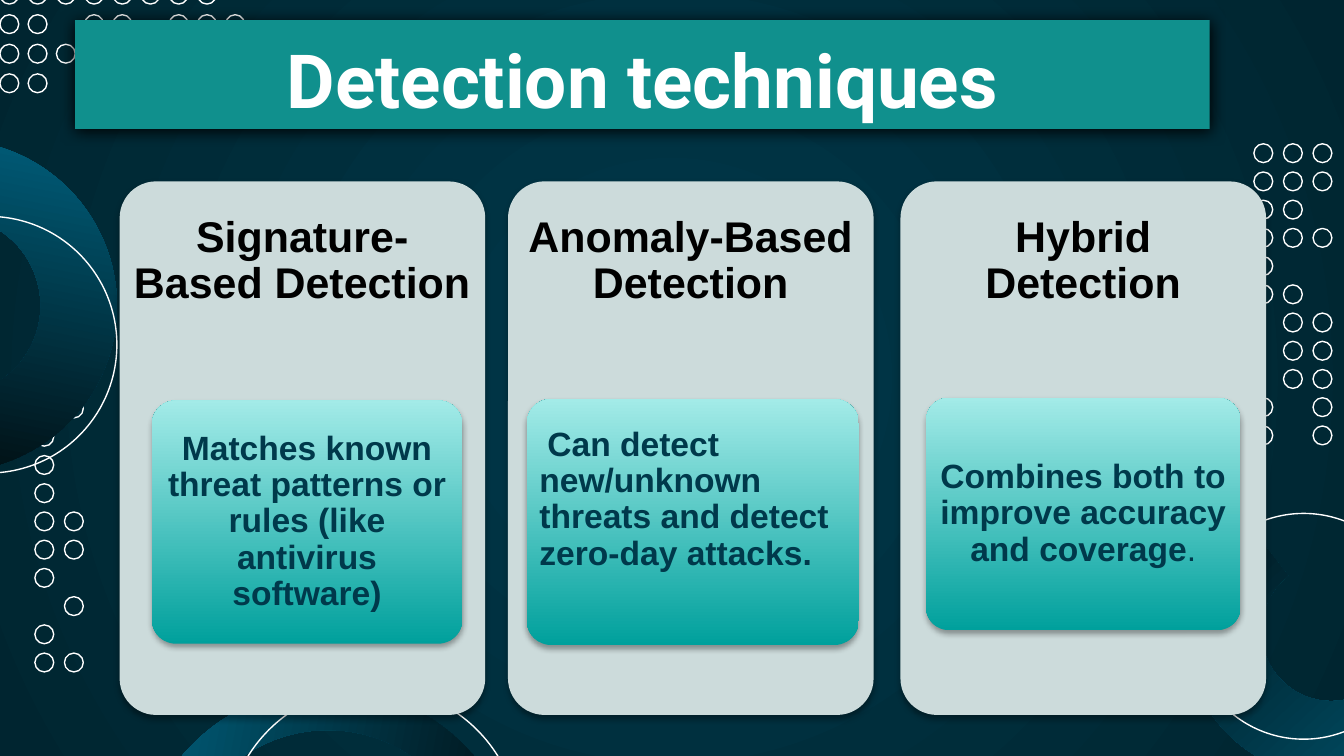
from pptx import Presentation
from pptx.dml.color import RGBColor
from pptx.enum.shapes import MSO_SHAPE as SHAPE
from pptx.enum.text import MSO_ANCHOR as ANCHOR, MSO_AUTO_SIZE, PP_ALIGN as ALIGN
from pptx.oxml.ns import qn
from pptx.util import Inches, Pt
from lxml.etree import SubElement

THEME = dict(
    bg=("00394B", "002530"), arc=("006685", "010101"), body_box=("00A09C", "A3EBE8"),
    banner="10908D", card="CCDBDB", white="FFFFFF", heading="000000", body="00394B",
    title_size=40, heading_size=23, body_size=18, title_font="Roboto", font="Arial",
)

SLIDE_W = 10
SLIDE_H = SLIDE_W * 9 / 16
TITLE = "Detection techniques"
# heading, card left, body box (left, top, width, height), body runs (text, bold)
CARDS = [
    ("Signature-Based Detection", 0.89, (1.13, 2.98, 2.31, 1.81),
     [("Matches known threat patterns or rules (like antivirus software)", True)]),
    ("Anomaly-Based Detection", 3.78, (3.92, 2.97, 2.47, 1.83),
     [("Can detect new/unknown threats and detect zero-day attacks.", True)]),
    ("Hybrid Detection", 6.7, (6.89, 2.96, 2.34, 1.73),
     [("Combines both to improve accuracy and coverage", True), (".", False)]),
]
LEFT_ALIGNED = "Anomaly-Based Detection"
CARD_TOP, CARD_W, CARD_H, HEADING_H = 1.35, 2.72, 3.97, 1.19

# left, top, column pitch, row pitch, rows
DOT_GRIDS = {
    "left": (0.26, 2.97, 0.22, 0.21,
             [".o", "o.", "o.", "o.", "oo", "oo", "o.", ".o", "o.", "oo"]),
    "right": (9.33, 1.07, 0.22, 0.21,
              ["ooo", "ooo", "oo.", "ooo", "o..", "oo.", ".oo", ".oo", ".oo", "o.o", "o.o"]),
    "top": (0, -0.11, 0.21, 0.22, ["oooooooo.", "oo.oo.ooo", "ooo", "oo"]),
}
DOT = 0.14
# arc (left, top, size), rotation, adjustments, ring (left, top, size)
SWIRLS = [
    ((8.82, 3.61, 2.17), 137.1, (51, 168.91, 0.26), (8.86, 3.82, 1.68)),
    ((-1.6, 1.04, 2.47), 10.9, (51, 171.05, 0.23), (-1.04, 1.61, 1.91)),
    ((1.02, 5.12, 2.84), 280.9, (51, 167.47, 0.11), (1.68, 5.11, 2.19)),
]


def rgb(name):
    return RGBColor.from_string(THEME[name])


def fill_gradient(fill, name, angle):
    """Two-stop gradient; the angle runs counter-clockwise."""
    fill.gradient()
    fill.gradient_angle = angle
    for stop, color in zip(fill.gradient_stops, THEME[name]):
        stop.color.rgb = RGBColor.from_string(color)


def add_shape(slide, kind, x, y, w, h):
    sp = slide.shapes.add_shape(kind, Inches(x), Inches(y), Inches(w), Inches(h))
    sp.shadow.inherit = False
    sp.line.fill.background()
    return sp


def add_circle(slide, x, y, size):
    sp = add_shape(slide, SHAPE.OVAL, x, y, size, size)
    sp.fill.background()
    sp.line.color.rgb = rgb("white")
    sp.line.width = Pt(0.75)


def drop_shadow(sp, alpha, blur, dist):
    sp.shadow.inherit = False
    effects = sp._element.spPr.find(qn("a:effectLst"))
    shadow = SubElement(effects, qn("a:outerShdw"), blurRad=str(Pt(blur)),
                        dist=str(Pt(dist)), dir="5400000", rotWithShape="0")
    color = SubElement(shadow, qn("a:srgbClr"), val="000000")
    SubElement(color, qn("a:alpha"), val=str(alpha * 1000))


def write(tf, runs, font, size, color, anchor, inset_x, inset_y, align=ALIGN.CENTER):
    tf.word_wrap = True
    tf.auto_size = MSO_AUTO_SIZE.NONE
    tf.vertical_anchor = anchor
    tf.margin_left = tf.margin_right = Inches(inset_x)
    tf.margin_top = tf.margin_bottom = Inches(inset_y)
    p = tf.paragraphs[0]
    p.alignment = align
    p.font.name, p.font.size, p.font.color.rgb = font, Pt(size), rgb(color)
    for text, bold in runs:
        r = p.add_run()
        r.text = text
        r.font.bold = bold
    return p


def add_background(slide):
    fill_gradient(slide.background.fill, "bg", 0)
    lin = slide._element.find(".//" + qn("a:lin"))
    grad = lin.getparent()
    grad.remove(lin)
    center = SubElement(grad, qn("a:path"), path="circle")
    SubElement(center, qn("a:fillToRect"), l="50000", t="50000", r="50000", b="50000")


def add_dots(slide, name):
    left, top, dx, dy, rows = DOT_GRIDS[name]
    for i, row in enumerate(rows):
        for j, mark in enumerate(row):
            if mark == "o":
                add_circle(slide, left + j * dx, top + i * dy, DOT)


def add_swirl(slide, arc, rotation, adjustments, ring):
    x, y, size = arc
    sp = add_shape(slide, SHAPE.BLOCK_ARC, x, y, size, size)
    for i, value in enumerate(adjustments):
        sp.adjustments[i] = value
    sp.rotation = rotation
    sp._element.spPr.find(qn("a:xfrm")).set("flipH", "1")
    fill_gradient(sp.fill, "arc", 270)
    add_circle(slide, *ring)


def add_title(slide):
    sp = slide.shapes.title
    sp.left, sp.top, sp.width, sp.height = map(Inches, (0.56, 0.15, 8.44, 0.81))
    sp.fill.solid()
    sp.fill.fore_color.rgb = rgb("banner")
    drop_shadow(sp, 100, 8.5, 1)
    write(sp.text_frame, [(TITLE, True)], THEME["title_font"], THEME["title_size"],
          "white", ANCHOR.TOP, 0.1, 0.1)


def add_card(slide, heading, left, box, runs):
    card = add_shape(slide, SHAPE.ROUNDED_RECTANGLE, left, CARD_TOP, CARD_W, CARD_H)
    card.fill.solid()
    card.fill.fore_color.rgb = rgb("card")
    label = slide.shapes.add_textbox(Inches(left), Inches(CARD_TOP),
                                     Inches(CARD_W), Inches(HEADING_H))
    p = write(label.text_frame, [(heading, True)], THEME["font"], THEME["heading_size"],
              "heading", ANCHOR.MIDDLE, 0.1, 0.1)
    p.line_spacing = 0.9

    body = add_shape(slide, SHAPE.ROUNDED_RECTANGLE, *box)
    fill_gradient(body.fill, "body_box", 90)
    for sp in (card, body):
        sp.adjustments[0] = 0.1
        drop_shadow(sp, 35, 3.1, 1.8)
    tf = body.text_frame
    left_aligned = heading == LEFT_ALIGNED
    p = write(tf, runs, THEME["font"], THEME["body_size"], "body", ANCHOR.MIDDLE,
              0.05, 0.04, ALIGN.LEFT if left_aligned else ALIGN.CENTER)
    p.line_spacing = 0.9
    if left_aligned:
        tf.margin_left = Inches(0.04)
        tf.margin_bottom = Inches(0.37)
        p._p.get_or_add_pPr().set("indent", str(Inches(0.06)))


def main():
    prs = Presentation()
    prs.slide_width, prs.slide_height = Inches(SLIDE_W), Inches(SLIDE_H)
    slide = prs.slides.add_slide(prs.slide_layouts[5])
    add_background(slide)
    add_dots(slide, "left")
    for swirl in SWIRLS:
        add_swirl(slide, *swirl)
    add_dots(slide, "right")
    add_dots(slide, "top")
    # The title placeholder exists first, so bring it in front of the decoration.
    slide.shapes._spTree.append(slide.shapes.title._element)
    add_title(slide)
    for card in CARDS:
        add_card(slide, *card)
    prs.save("out.pptx")


if __name__ == "__main__":
    main()
